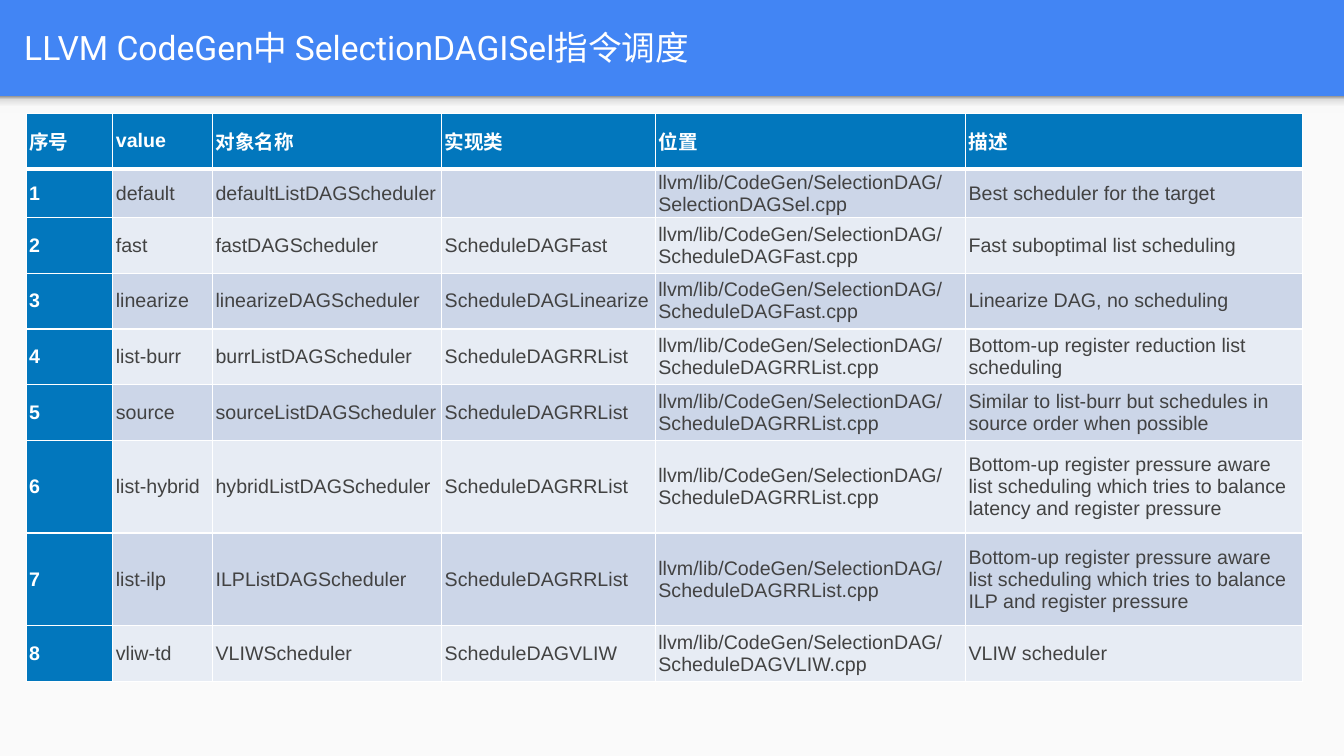
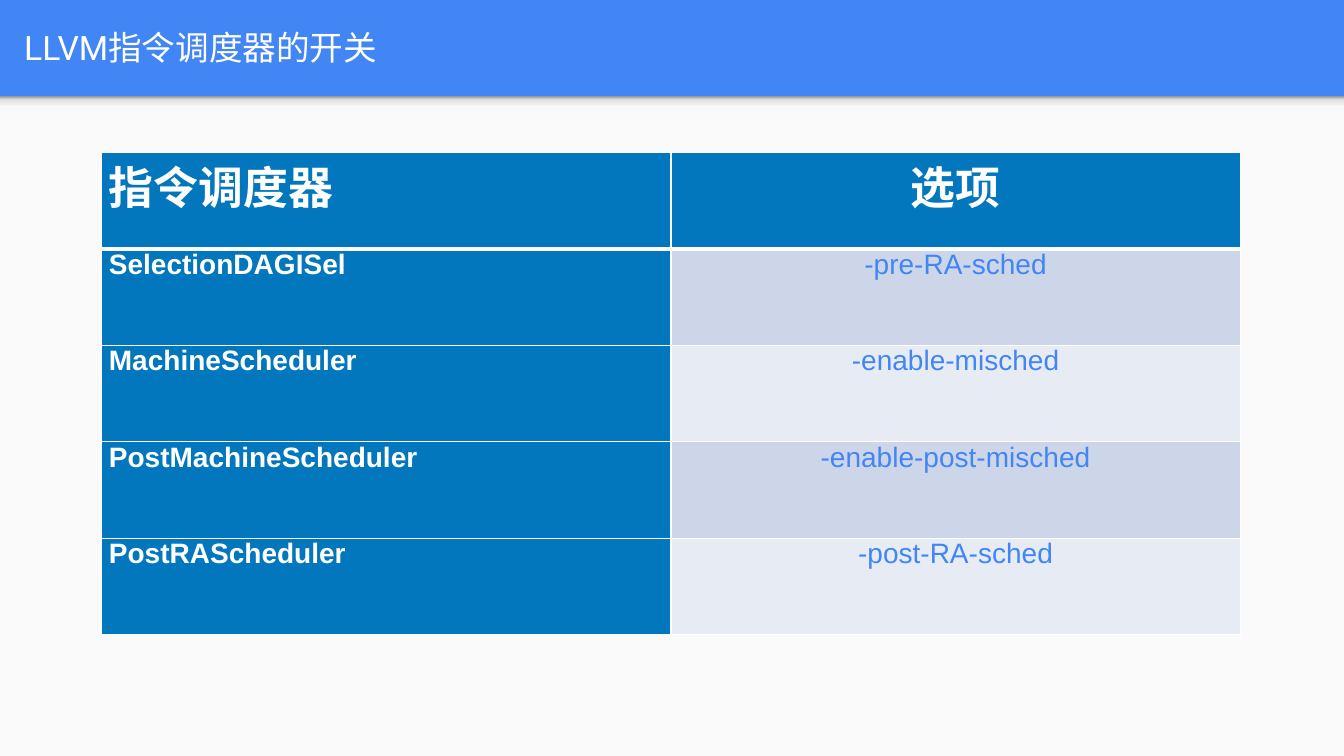
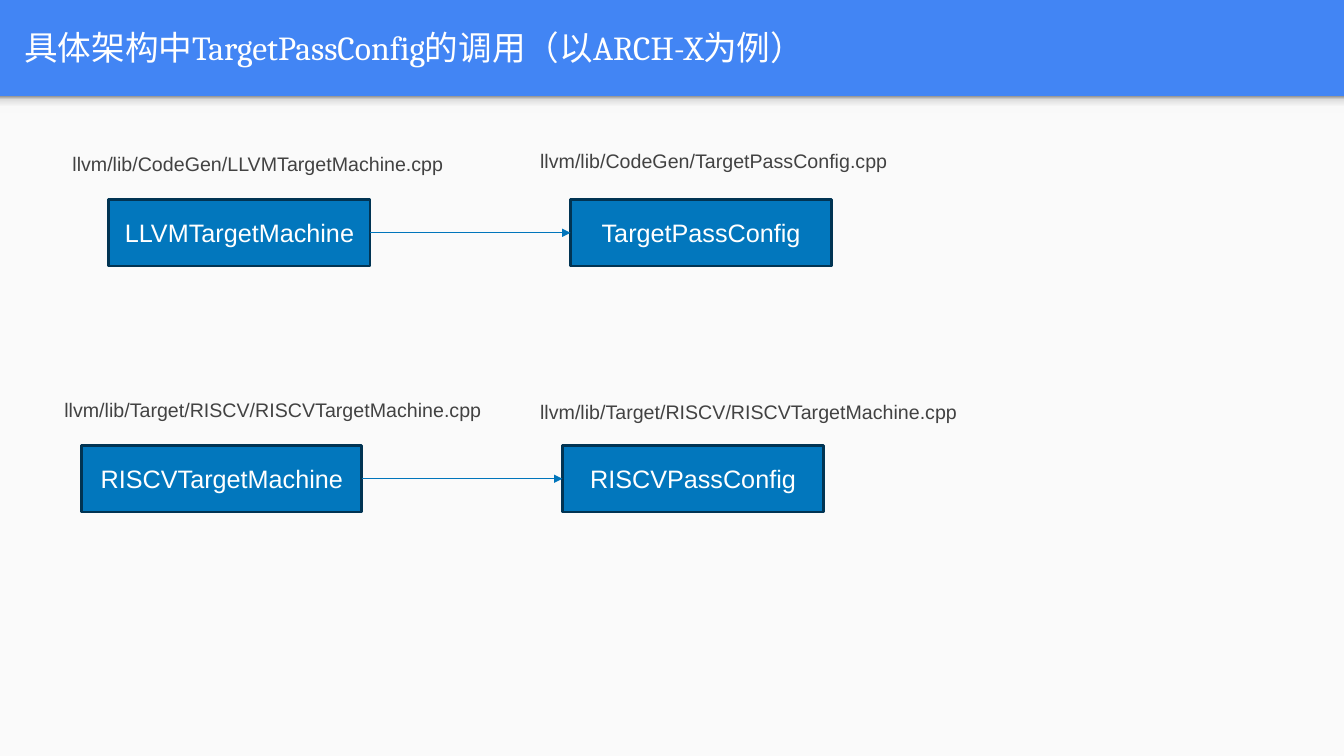
from dataclasses import dataclass

from lxml.etree import SubElement
from pptx import Presentation
from pptx.dml.color import RGBColor
from pptx.enum.shapes import MSO_CONNECTOR, MSO_SHAPE
from pptx.enum.text import MSO_ANCHOR, MSO_AUTO_SIZE, PP_ALIGN
from pptx.oxml import parse_xml
from pptx.oxml.ns import nsdecls, qn
from pptx.util import Inches, Pt


@dataclass(frozen=True)
class Theme:
    """Colours, fonts and type sizes of the deck."""

    banner: str = "4285F4"
    paper: str = "FAFAFA"
    white: str = "FFFFFF"
    ink: str = "424242"
    accent: str = "0277BD"
    outline: str = "013453"
    arrow: str = "0075BB"
    bands: tuple = ("CCD6E8", "E7ECF4")
    shade: tuple = ((0, "F9F9F9"), (36, "F9F9F9"), (80, "DEDEDE"), (100, "999999"))
    face: str = "Arial"
    title_face: str = "Roboto"
    serif_face: str = "Cambria"
    title_size: int = 24
    head_size: int = 32
    option_size: int = 20
    node_size: int = 18
    small_size: int = 14


THEME = Theme()
WIDTH, HEIGHT = Inches(13.33), Inches(7.5)


def across(share):
    """Return a percentage of the slide width."""
    return round(WIDTH * share / 100)


def down(share):
    """Return a percentage of the slide height."""
    return round(HEIGHT * share / 100)


def area(left, top, width, height):
    """Turn percentages of the slide into a position and size."""
    return across(left), down(top), across(width), down(height)


def write(frame, text, *, size, color, face=THEME.face, bold=False, align=PP_ALIGN.LEFT):
    """Put one formatted line of text into a text frame."""
    para = frame.paragraphs[0]
    para.alignment = align
    span = para.add_run()
    span.text = text
    span.font.size = Pt(size)
    span.font.name = face
    span.font.bold = bold
    span.font.color.rgb = RGBColor.from_string(color)


def paint(target, color):
    """Give a shape, cell or background a solid fill."""
    target.fill.solid()
    target.fill.fore_color.rgb = RGBColor.from_string(color)


def rule_cell(cell, bottom):
    """Draw white borders around a cell, the bottom one in the given points."""
    properties = cell._tc.get_or_add_tcPr()
    sides = (("L", 1), ("R", 1), ("T", 1), ("B", bottom))
    for place, (side, width) in enumerate(sides):
        border = parse_xml(
            f'<a:ln{side} {nsdecls("a")} w="{Pt(width)}"><a:solidFill>'
            f'<a:srgbClr val="{THEME.white}"/></a:solidFill></a:ln{side}>'
        )
        properties.insert(place, border)


class Slides:
    """Holds the deck, its shared layout and the current page."""

    def __init__(self):
        """Open an empty deck and prepare the shared layout."""
        self.deck = Presentation()
        self.deck.slide_width, self.deck.slide_height = WIDTH, HEIGHT
        self.layout = self.deck.slide_layouts[5]
        self.page = None
        self.style_layout()

    def style_layout(self):
        """Set the background and the title place for every page."""
        paint(self.layout.background, THEME.banner)
        title, *others = self.layout.placeholders
        for holder in others:
            holder._element.getparent().remove(holder._element)
        title.left, title.top, title.width, title.height = area(1.05, 0.3, 96.55, 11.8)
        frame = title.text_frame
        frame.vertical_anchor = MSO_ANCHOR.MIDDLE
        frame.auto_size = MSO_AUTO_SIZE.NONE
        frame.margin_left = frame.margin_right = Inches(0.1)
        frame.margin_top = frame.margin_bottom = Inches(0.1)

    def rectangle(self, *place):
        """Add a plain rectangle without shadow or line."""
        box = self.page.shapes.add_shape(MSO_SHAPE.RECTANGLE, *area(*place))
        box.shadow.inherit = False
        box.line.fill.background()
        return box

    def share_bands(self):
        """Draw the paper and its top shade, and hand them to the layout."""
        paper = self.rectangle(0, 12.8, 100, 87.2)
        paint(paper, THEME.paper)
        shade = self.rectangle(0, 12.75, 100, 2.18)
        shade.fill.gradient()
        gradient = shade._element.spPr.find(qn("a:gradFill"))
        stops = gradient.find(qn("a:gsLst"))
        for stop in list(stops):
            stops.remove(stop)
        for position, color in THEME.shade:
            stop = SubElement(stops, qn("a:gs"), pos=str(position * 1000))
            SubElement(stop, qn("a:srgbClr"), val=color)
        gradient.find(qn("a:lin")).set("ang", str(270 * 60000))
        for place, box in enumerate((paper, shade), start=2):
            self.layout.shapes._spTree.insert(place, box._element)

    def new_page(self, title, face=THEME.title_face):
        """Start a page with its title."""
        first = self.page is None
        self.page = self.deck.slides.add_slide(self.layout)
        if first:
            self.share_bands()
        write(self.page.shapes.title.text_frame, title,
              size=THEME.title_size, color=THEME.white, face=face)

    def table(self, left, top, columns, heights, rows, *, head_size, body_size, body_color,
              inset, anchor, aligns):
        """Add a banded table with a coloured first row and column."""
        place = area(left, top, sum(columns), sum(heights))
        grid = self.page.shapes.add_table(len(rows), len(columns), *place).table
        for column, width in zip(grid.columns, columns):
            column.width = across(width)
        for number, (height, texts) in enumerate(zip(heights, rows)):
            grid.rows[number].height = down(height)
            for index, text in enumerate(texts):
                cell = grid.cell(number, index)
                heading = number == 0 or index == 0
                cell.margin_left = cell.margin_right = Inches(inset)
                cell.margin_top = cell.margin_bottom = 0
                cell.vertical_anchor = anchor
                paint(cell, THEME.accent if heading else THEME.bands[(number - 1) % 2])
                rule_cell(cell, 1 if number else 3)
                if text:
                    write(cell.text_frame, text, bold=heading, align=aligns[index],
                          size=body_size if number else head_size,
                          color=THEME.white if heading else body_color)

    def node(self, text, *place):
        """Add an outlined box with centred text."""
        box = self.rectangle(*place)
        paint(box, THEME.accent)
        box.line.color.rgb = RGBColor.from_string(THEME.outline)
        box.line.width = Pt(2)
        box.text_frame.vertical_anchor = MSO_ANCHOR.MIDDLE
        write(box.text_frame, text, size=THEME.node_size, color=THEME.white,
              align=PP_ALIGN.CENTER)
        return box

    def label(self, text, left, top):
        """Add a file name above a box."""
        box = self.page.shapes.add_textbox(*area(left, top, 36.82, 4.53))
        box.text_frame.word_wrap = True
        box.text_frame.auto_size = MSO_AUTO_SIZE.SHAPE_TO_FIT_TEXT
        write(box.text_frame, text, size=THEME.small_size, color=THEME.ink)

    def arrow(self, source, target):
        """Join the right side of one box to the left side of another."""
        line = self.page.shapes.add_connector(MSO_CONNECTOR.STRAIGHT, 0, 0, 0, 0)
        line.begin_connect(source, 3)
        line.end_connect(target, 1)
        line.line.color.rgb = RGBColor.from_string(THEME.arrow)
        line.line.width = Pt(0.75)
        SubElement(line.line._get_or_add_ln(), qn("a:tailEnd"), type="triangle")
        SubElement(line._element.spPr, qn("a:effectLst"))


SCHEDULERS = (
    ("default", "defaultListDAGScheduler", "", "SelectionDAGSel",
     "Best scheduler for the target"),
    ("fast", "fastDAGScheduler", "ScheduleDAGFast", "ScheduleDAGFast",
     "Fast suboptimal list scheduling"),
    ("linearize", "linearizeDAGScheduler", "ScheduleDAGLinearize", "ScheduleDAGFast",
     "Linearize DAG, no scheduling"),
    ("list-burr", "burrListDAGScheduler", "ScheduleDAGRRList", "ScheduleDAGRRList",
     "Bottom-up register reduction list scheduling"),
    ("source", "sourceListDAGScheduler", "ScheduleDAGRRList", "ScheduleDAGRRList",
     "Similar to list-burr but schedules in source order when possible"),
    ("list-hybrid", "hybridListDAGScheduler", "ScheduleDAGRRList", "ScheduleDAGRRList",
     "Bottom-up register pressure aware list scheduling which tries to balance "
     "latency and register pressure"),
    ("list-ilp", "ILPListDAGScheduler", "ScheduleDAGRRList", "ScheduleDAGRRList",
     "Bottom-up register pressure aware list scheduling which tries to balance "
     "ILP and register pressure"),
    ("vliw-td", "VLIWScheduler", "ScheduleDAGVLIW", "ScheduleDAGVLIW", "VLIW scheduler"),
)

SWITCHES = (
    ("指令调度器", "选项"),
    ("SelectionDAGISel", "-pre-RA-sched"),
    ("MachineScheduler", "-enable-misched"),
    ("PostMachineScheduler", "-enable-post-misched"),
    ("PostRAScheduler", "-post-RA-sched"),
)

CALLS = (
    (26.4,
     ("LLVMTargetMachine", 8.1, 19.43, "llvm/lib/CodeGen/LLVMTargetMachine.cpp", 4.65, 19.47),
     ("TargetPassConfig", 42.45, 19.43, "llvm/lib/CodeGen/TargetPassConfig.cpp", 39.45, 19.07)),
    (58.93,
     ("RISCVTargetMachine", 6.08, 20.85, "llvm/lib/Target/RISCV/RISCVTargetMachine.cpp",
      4.05, 52),
     ("RISCVPassConfig", 41.85, 19.43, "llvm/lib/Target/RISCV/RISCVTargetMachine.cpp",
      39.45, 52.27)),
)


def scheduler_page(slides):
    """Build the table of schedulers."""
    slides.new_page("LLVM CodeGen中 SelectionDAGISel指令调度")
    rows = [("序号", "value", "对象名称", "实现类", "位置", "描述")]
    for number, (value, name, kind, file, about) in enumerate(SCHEDULERS, start=1):
        source = f"llvm/lib/CodeGen/SelectionDAG/{file}.cpp"
        rows.append((str(number), value, name, kind, source, about))
    slides.table(1.95, 14.97, (6.45, 7.42, 17.05, 15.9, 23.08, 25.05),
                 (7.4, 6.4, *[7.38] * 4, 12.25, 12.25, 7.38), rows,
                 head_size=THEME.small_size, body_size=THEME.small_size,
                 body_color=THEME.ink, inset=0.03, anchor=MSO_ANCHOR.MIDDLE,
                 aligns=[PP_ALIGN.LEFT] * 6)


def switch_page(slides):
    """Build the table of scheduler options."""
    slides.new_page("LLVM指令调度器的开关")
    slides.table(7.58, 20.13, [42.35] * 2, [12.77] * 5, SWITCHES,
                 head_size=THEME.head_size, body_size=THEME.option_size,
                 body_color=THEME.banner, inset=0.07, anchor=MSO_ANCHOR.TOP,
                 aligns=(PP_ALIGN.JUSTIFY, PP_ALIGN.CENTER))


def call_page(slides):
    """Build the two call chains."""
    slides.new_page("具体架构中TargetPassConfig的调用（以ARCH-X为例）", THEME.serif_face)
    for top, *pair in CALLS:
        boxes = []
        for name, left, width, file, label_left, label_top in pair:
            boxes.append(slides.node(name, left, top, width, 8.8))
            slides.label(file, label_left, label_top)
        slides.arrow(*boxes)


def main():
    """Build the deck and save it."""
    slides = Slides()
    scheduler_page(slides)
    switch_page(slides)
    call_page(slides)
    slides.deck.save("out.pptx")


if __name__ == "__main__":
    main()
